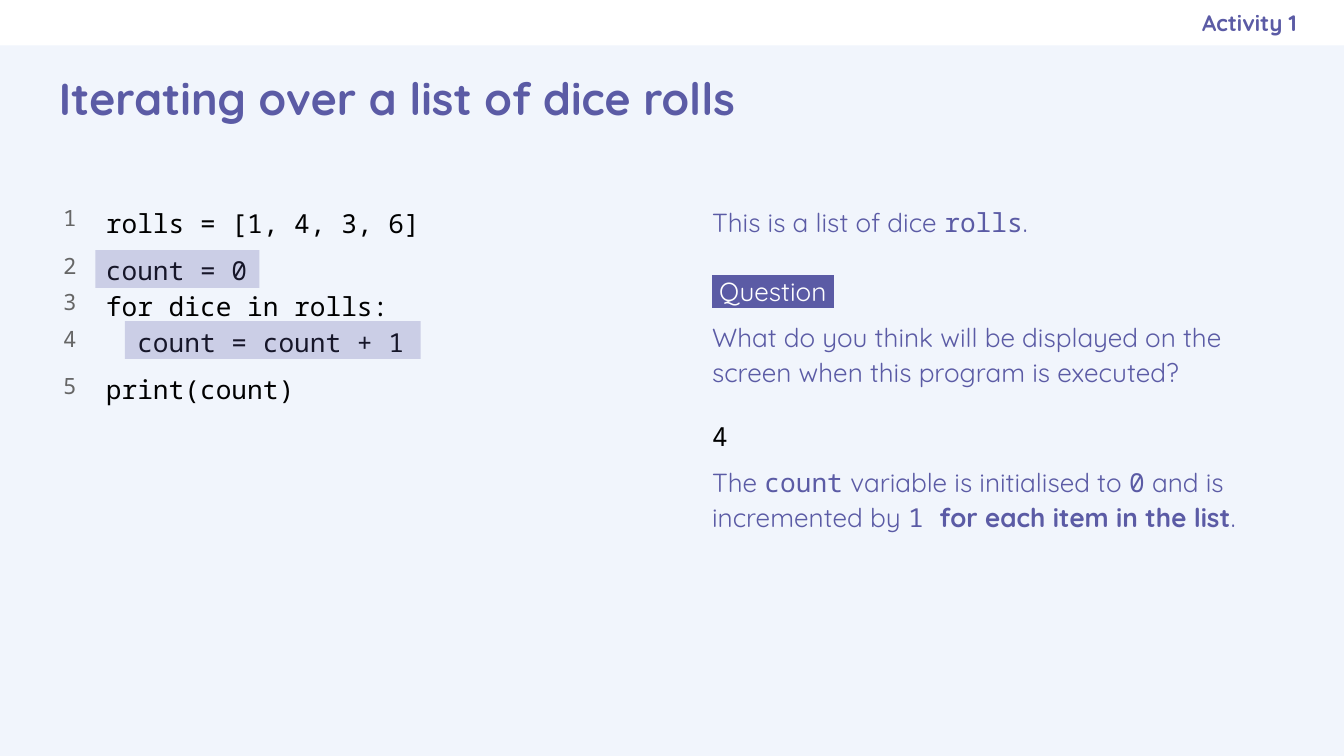
from typing import NamedTuple

from lxml import etree
from pptx import Presentation
from pptx import util as u
from pptx.dml.color import RGBColor
from pptx.enum import shapes, text
from pptx.oxml import ns

COLORS = {
    "page": "F1F5FC",
    "white": "FFFFFF",
    "violet": "5B5BA5",
    "code": "000000",
    "number": "666666",
}
SANS, MONO = "Quicksand", "Noto Sans Mono"
WIDTH, HEIGHT = u.Inches(10), u.Inches(5.625)
COLUMN, ROW = WIDTH / 100, HEIGHT / 100


class Box(NamedTuple):
    left: float
    top: float
    width: float
    height: float

    def inner(self, left, top, width, height):
        return Box(self.left + left, self.top + top, width, height)

    def emu(self):
        return (round(self.left * COLUMN), round(self.top * ROW),
                round(self.width * COLUMN), round(self.height * ROW))


def color(name):
    return RGBColor.from_string(COLORS[name])


def add_block(page, box, fill, opacity=100):
    block = page.shapes.add_shape(shapes.MSO_SHAPE.RECTANGLE, *box.emu())
    block.shadow.inherit = False
    block.line.fill.background()
    block.fill.solid()
    block.fill.fore_color.rgb = color(fill)
    if opacity < 100:
        tint = block.element.spPr.find(ns.qn("a:solidFill"))[0]
        etree.SubElement(tint, ns.qn("a:alpha"), val=str(opacity * 1000))


def add_frame(page, box, insets=(0.1, 0.1, 0.1, 0.1), middle=False):
    frame = page.shapes.add_textbox(*box.emu()).text_frame
    frame.word_wrap = True
    (frame.margin_left, frame.margin_top,
     frame.margin_right, frame.margin_bottom) = map(u.Inches, insets)
    if middle:
        frame.vertical_anchor = text.MSO_ANCHOR.MIDDLE
    return frame


def add_label(span):
    span.font.color.rgb = color("white")
    highlight = etree.Element(ns.qn("a:highlight"))
    etree.SubElement(highlight, ns.qn("a:srgbClr"), val=COLORS["violet"])
    properties = span.font._element
    properties.find(ns.qn("a:solidFill")).addnext(highlight)


def add_para(frame, spans, size, font=SANS, ink="violet", bold=False,
             before=0, spacing=1.0, right=False):
    first = frame.paragraphs[0]
    para = frame.add_paragraph() if first.runs else first
    para.line_spacing = spacing
    para.space_before = u.Pt(before)
    if right:
        para.alignment = text.PP_ALIGN.RIGHT
    para.font.size = u.Pt(size)
    para.font.name = font
    para.font.bold = bold
    para.font.color.rgb = color(ink)
    for words, style in spans:
        span = para.add_run()
        span.text = words
        if style == "mono":
            span.font.name = MONO
        elif style == "bold":
            span.font.bold = True
        elif style == "label":
            add_label(span)


def add_header(page, box):
    add_block(page, box.inner(0, 0, box.width, 6), "white")
    title = add_frame(page, box.inner(3.4, 6, 93.2, 13.7), middle=True)
    add_para(title, [("Iterating over a list of dice rolls", None)], 24, bold=True)
    activity = add_frame(page, box.inner(57.5, 0, 39, 6), (0.1, 0.1, 0, 0.1), True)
    add_para(activity, [("Activity 1", None)], 12, bold=True, right=True)


def add_code(page, box):
    lines = [
        ("rolls = [1, 4, 3, 6]", 0),
        ("count = 0", 6),
        ("for dice in rolls:", 0),
        ("  count = count + 1", 0),
        ("print(count)", 6),
    ]
    code = add_frame(page, box.inner(3.4, 0, 41.7, box.height))
    numbers = add_frame(page, box.inner(0, 0.4, 2.2, box.height), (0, 0.06, 0, 0.1))
    for number, (line, gap) in enumerate(lines, 1):
        add_para(code, [(line, None)], 14, MONO, "code", before=gap, spacing=1.15)
        add_para(numbers, [(str(number), None)], 12, MONO, "number",
                 before=gap + 3, spacing=1.15, right=True)
    for left, top, width in [(3.6, 8.1, 12.2), (5.8, 17.5, 22)]:
        add_block(page, box.inner(left, top, width, 5), "violet", 25)


def add_discussion(page, box):
    insets = (0.1, 0.1, 0.06, 0.1)
    question = add_frame(page, box.inner(0, 0, box.width, 28.6), insets)
    add_para(question, [("This is a list of dice ", None), ("rolls", "mono"),
                        (".", None)], 14, spacing=1.12)
    add_para(question, [(" Question ", "label")], 14, before=18, spacing=1.12)
    add_para(question, [("What do you think will be displayed on the screen "
                         "when this program is executed?", None)],
             14, before=6, spacing=1.12)
    answer = add_frame(page, box.inner(0, 28.2, box.width, 18.5), insets)
    add_para(answer, [("4", None)], 14, MONO, "code", spacing=1.15)
    add_para(answer, [
        ("The ", None), ("count", "mono"),
        (" variable is initialised to ", None), ("0", "mono"),
        (" and is incremented by ", None), ("1 ", "mono"),
        ("for each item in the list", "bold"), (".", None),
    ], 14, before=6, spacing=1.12)


def main():
    deck = Presentation()
    deck.slide_width, deck.slide_height = WIDTH, HEIGHT
    page = deck.slides.add_slide(deck.slide_layouts[6])
    page.background.fill.solid()
    page.background.fill.fore_color.rgb = color("page")
    add_header(page, Box(0, 0, 100, 20))
    add_code(page, Box(3.5, 25, 45, 66))
    add_discussion(page, Box(52, 25, 44.7, 47))
    deck.save("out.pptx")


if __name__ == "__main__":
    main()
